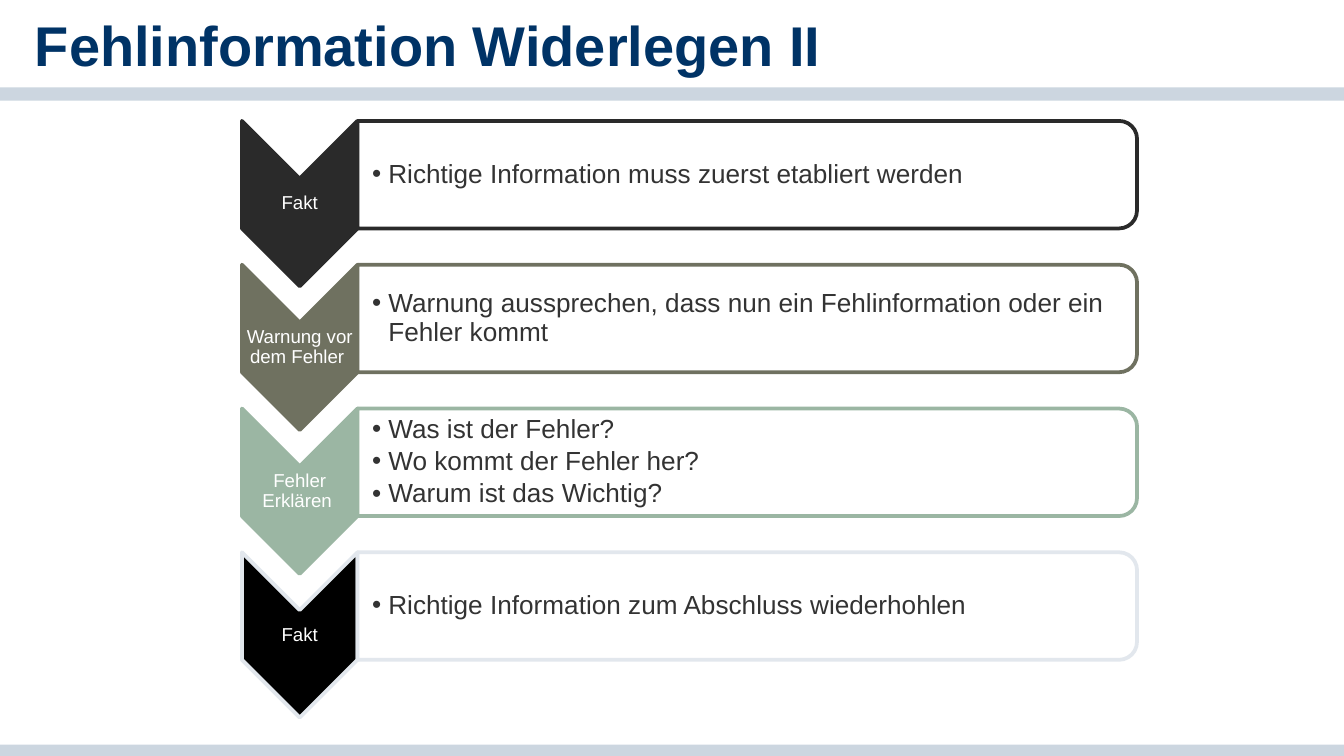
from lxml import etree
from pptx import Presentation
from pptx import util as u
from pptx.dml.color import RGBColor
from pptx.enum import shapes, text
from pptx.oxml.ns import qn

FONT = "Arial"
NAVY, BAR, BODY, WHITE = "003366", "CCD6E0", "333333", "FFFFFF"
SLIDE_WIDTH = 10
SLIDE_HEIGHT = SLIDE_WIDTH * 9 / 16
ROW_LEFT, ROW_TOP, ROW_PITCH = 1.8, 0.9, 1.07
ARROW_WIDTH, ARROW_HEIGHT = 0.86, 1.23
PANEL_WIDTH, PANEL_HEIGHT = 5.8, 0.8
STEPS = [
    ("Fakt", ["Richtige Information muss zuerst etabliert werden"], "2A2A2A", "2A2A2A"),
    ("Warnung vor dem Fehler ",
     ["Warnung aussprechen, dass nun ein Fehlinformation oder ein Fehler kommt"],
     "6F7160", "6F7160"),
    ("Fehler Erklären ",
     ["Was ist der Fehler?", "Wo kommt der Fehler her?", "Warum ist das Wichtig?"],
     "9BB6A3", "9BB6A3"),
    ("Fakt", ["Richtige Information zum Abschluss wiederhohlen"], "000000", "E2E7ED"),
]


def rgb(value):
    return RGBColor.from_string(value)


def add_bullet(paragraph, indent=0.12):
    properties = paragraph._p.get_or_add_pPr()
    properties.set("marL", str(u.Inches(indent)))
    properties.set("indent", str(-u.Inches(indent)))
    etree.SubElement(properties, qn("a:buFont")).set("typeface", FONT)
    etree.SubElement(properties, qn("a:buChar")).set("char", "•")


def write(shape, lines, size, color, bold=False, align=text.PP_ALIGN.LEFT,
          anchor=text.MSO_ANCHOR.MIDDLE, margins=(0.01, 0.01, 0.01, 0.01),
          spacing=None, after=0, bullets=False):
    """Fill a shape with one paragraph per line; margins are left, top, right, bottom."""
    frame = shape.text_frame
    frame.word_wrap = True
    frame.auto_size = text.MSO_AUTO_SIZE.NONE
    frame.vertical_anchor = anchor
    (frame.margin_left, frame.margin_top,
     frame.margin_right, frame.margin_bottom) = map(u.Inches, margins)
    for index, line in enumerate(lines):
        paragraph = frame.add_paragraph() if index else frame.paragraphs[0]
        paragraph.alignment = align
        paragraph.line_spacing = spacing
        paragraph.space_after = u.Pt(after)
        if bullets:
            paragraph.level = 1
            add_bullet(paragraph)
        run = paragraph.add_run()
        run.text = line
        run.font.name, run.font.size, run.font.bold = FONT, u.Pt(size), bold
        run.font.color.rgb = rgb(color)


def add_shape(slide, kind, left, top, width, height, fill, line=None):
    shape = slide.shapes.add_shape(kind, *map(u.Inches, (left, top, width, height)))
    shape.shadow.inherit = False
    shape.fill.solid()
    shape.fill.fore_color.rgb = rgb(fill)
    if line:
        shape.line.color.rgb = rgb(line)
        shape.line.width = u.Pt(2)
    else:
        shape.line.fill.background()
    return shape


def add_turned_shape(slide, kind, left, top, width, height, fill, line):
    """Place a shape turned by 90 degrees so that it covers the given box."""
    shape = add_shape(slide, kind, left + (width - height) / 2,
                      top + (height - width) / 2, height, width, fill, line)
    shape.rotation = 90
    return shape


def add_text(slide, left, top, width, height, lines, **style):
    box = slide.shapes.add_textbox(*map(u.Inches, (left, top, width, height)))
    write(box, lines, **style)


def add_header(slide, title):
    for top, height in ((5.54, SLIDE_HEIGHT - 5.54), (0.65, 0.1)):
        add_shape(slide, shapes.MSO_SHAPE.RECTANGLE, 0, top, SLIDE_WIDTH, height, BAR)
    placeholder = slide.shapes.title
    placeholder.left, placeholder.top = u.Inches(0.26), u.Inches(0.08)
    placeholder.width, placeholder.height = u.Inches(7.06), u.Inches(0.47)
    write(placeholder, [title], size=30, color=NAVY, bold=True,
          anchor=text.MSO_ANCHOR.TOP, margins=(0, 0, 0, 0))


def add_step(slide, left, top, label, points, fill, line):
    add_turned_shape(slide, shapes.MSO_SHAPE.CHEVRON, left, top,
                     ARROW_WIDTH, ARROW_HEIGHT, fill, line)
    notch = ARROW_WIDTH / 2
    add_text(slide, left, top + notch, ARROW_WIDTH, ARROW_HEIGHT - 2 * notch, [label],
             size=10, color=WHITE, align=text.PP_ALIGN.CENTER, spacing=0.9)
    panel_left = left + ARROW_WIDTH
    panel = add_turned_shape(slide, shapes.MSO_SHAPE.ROUND_2_SAME_RECTANGLE, panel_left, top,
                             PANEL_WIDTH, PANEL_HEIGHT, WHITE, line)
    color = panel.fill._xPr.find(qn("a:solidFill"))[0]
    etree.SubElement(color, qn("a:alpha")).set("val", "90000")
    add_text(slide, panel_left, top + 0.04, PANEL_WIDTH - 0.04, PANEL_HEIGHT - 0.08, points,
             size=14, color=BODY, margins=(0.11, 0.01, 0.01, 0.01),
             spacing=0.9, after=2.1, bullets=True)


def main():
    presentation = Presentation()
    presentation.slide_width = u.Inches(SLIDE_WIDTH)
    presentation.slide_height = u.Inches(SLIDE_HEIGHT)
    slide = presentation.slides.add_slide(presentation.slide_layouts[5])
    add_header(slide, "Fehlinformation Widerlegen II")
    for index, step in enumerate(STEPS):
        add_step(slide, ROW_LEFT, ROW_TOP + index * ROW_PITCH, *step)
    presentation.save("out.pptx")


if __name__ == "__main__":
    main()
